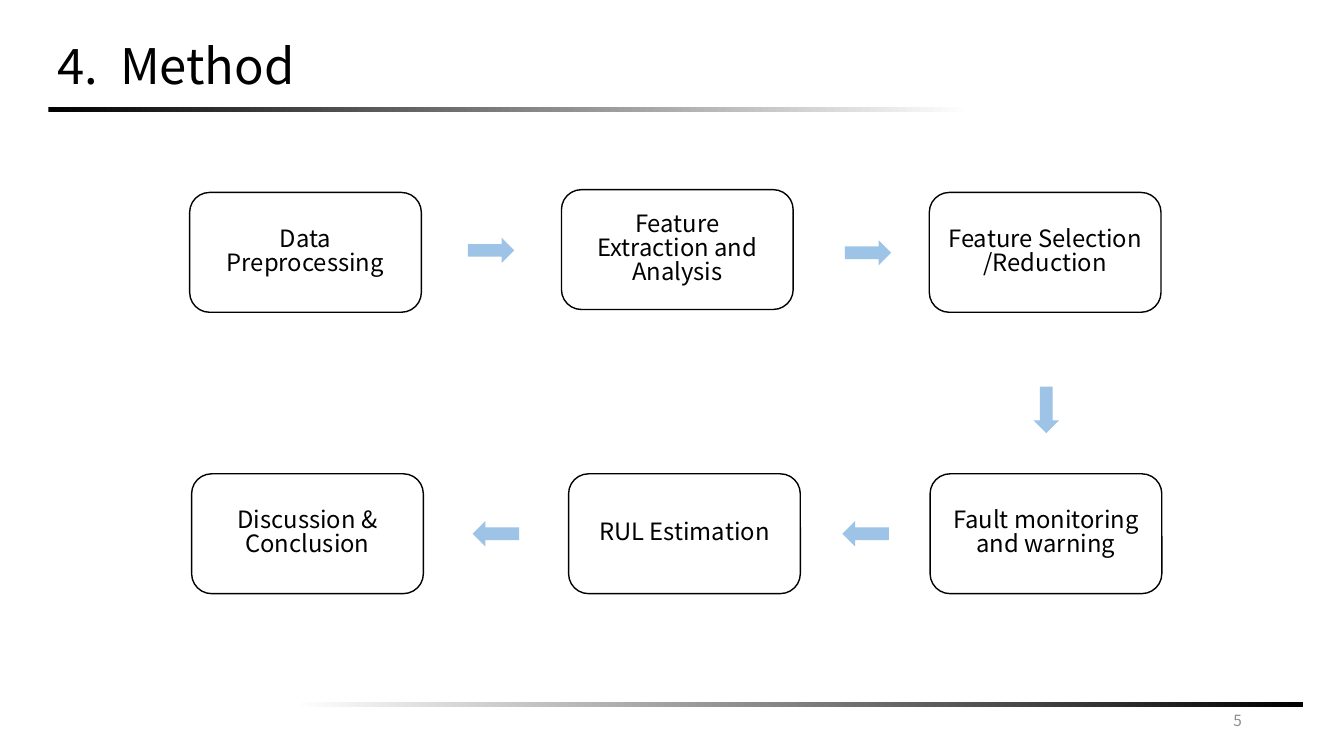
from pptx import Presentation
from pptx.dml.color import RGBColor
from pptx.enum.shapes import MSO_SHAPE
from pptx.enum.text import MSO_ANCHOR, PP_ALIGN
from pptx.util import Cm, Pt

HUES = {"ink": "000000", "paper": "FFFFFF", "arrow": "9DC3E6", "page": "8C8C8C"}
STEPS = [
    ("Data Preprocessing", 4.78, 4.85),
    ("Feature Extraction and Analysis", 14.15, 4.78),
    ("Feature Selection\n/Reduction", 23.42, 4.85),
    ("Fault monitoring and warning", 23.44, 11.94),
    ("RUL Estimation", 14.33, 11.94),
    ("Discussion & Conclusion", 4.83, 11.94),
]
ARROWS = [
    (11.79, 5.99, 0),
    (21.29, 6.05, 0),
    (25.78, 10.01, 90),
    (21.23, 13.13, 180),
    (11.91, 13.13, 180),
]


class Deck:
    """Holds the style and the current slide."""

    face = "Noto Sans CJK KR"

    def __init__(self):
        self.file = Presentation()
        self.file.slide_width, self.file.slide_height = Cm(33.87), Cm(19.05)
        self.slide = self.file.slides.add_slide(self.file.slide_layouts[5])

    def hue(self, name):
        return RGBColor.from_string(HUES[name])

    def label(self, shape, text, size, hue="ink", align=PP_ALIGN.LEFT, space=None):
        frame = shape.text_frame
        frame.word_wrap = True
        frame.vertical_anchor = MSO_ANCHOR.MIDDLE
        line = frame.paragraphs[0]
        line.text = text
        line.alignment = align
        line.line_spacing = space
        line.font.name = self.face
        line.font.size = Pt(size)
        line.font.color.rgb = self.hue(hue)

    def title(self, text, left, top, width, height):
        shape = self.slide.shapes.title
        shape.left, shape.top = Cm(left), Cm(top)
        shape.width, shape.height = Cm(width), Cm(height)
        self.label(shape, text, 35, space=0.9)

    def shape(self, kind, left, top, width, height):
        shape = self.slide.shapes.add_shape(
            kind, Cm(left), Cm(top), Cm(width), Cm(height))
        shape.shadow.inherit = False
        shape.line.fill.background()
        return shape

    def bar(self, left, top, width, *hues):
        shape = self.shape(MSO_SHAPE.RECTANGLE, left, top, width, 0.13)
        shape.fill.gradient()
        shape.fill.gradient_angle = 0
        for spot, (stop, hue) in enumerate(zip(shape.fill.gradient_stops, hues)):
            stop.position = spot
            stop.color.rgb = self.hue(hue)

    def step(self, text, left, top):
        shape = self.shape(MSO_SHAPE.ROUNDED_RECTANGLE, left, top, 5.84, 3.02)
        shape.fill.background()
        shape.line.color.rgb = self.hue("ink")
        shape.line.width = Pt(1)
        self.label(shape, text, 17, align=PP_ALIGN.CENTER, space=0.83)

    def arrow(self, left, top, turn):
        shape = self.shape(MSO_SHAPE.RIGHT_ARROW, left, top, 1.17, 0.64)
        shape.fill.solid()
        shape.fill.fore_color.rgb = self.hue("arrow")
        shape.rotation = turn

    def page(self, text, left, top, width, height):
        box = self.slide.shapes.add_textbox(
            Cm(left), Cm(top), Cm(width), Cm(height))
        self.label(box, text, 11, "page", PP_ALIGN.RIGHT)


def main():
    deck = Deck()
    deck.bar(1.22, 2.69, 23.24, "ink", "paper")
    deck.bar(7.39, 17.68, 25.45, "paper", "ink")
    deck.title("4.  Method", 1.19, 0.99, 27.2, 1.47)
    deck.page("5", 23.93, 17.65, 7.62, 1.02)
    for step in STEPS:
        deck.step(*step)
    for arrow in ARROWS:
        deck.arrow(*arrow)
    deck.file.save("out.pptx")


if __name__ == "__main__":
    main()
